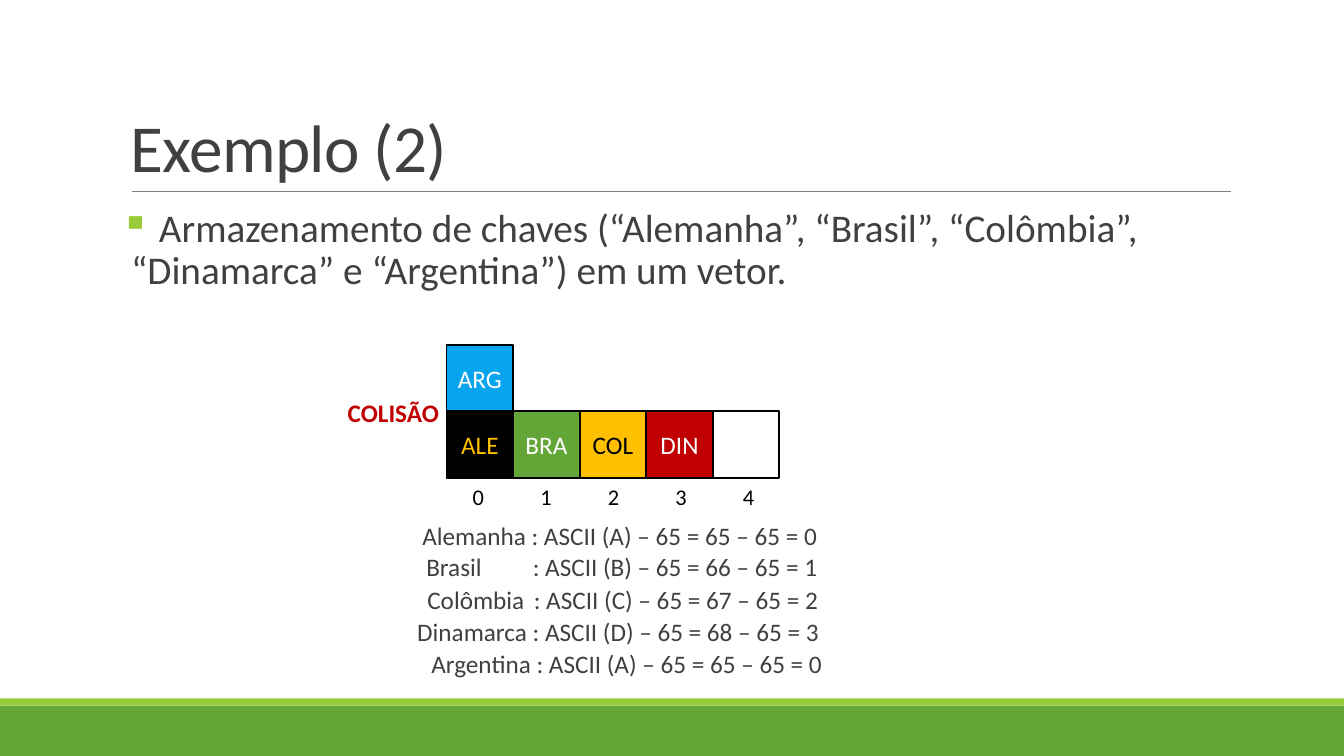
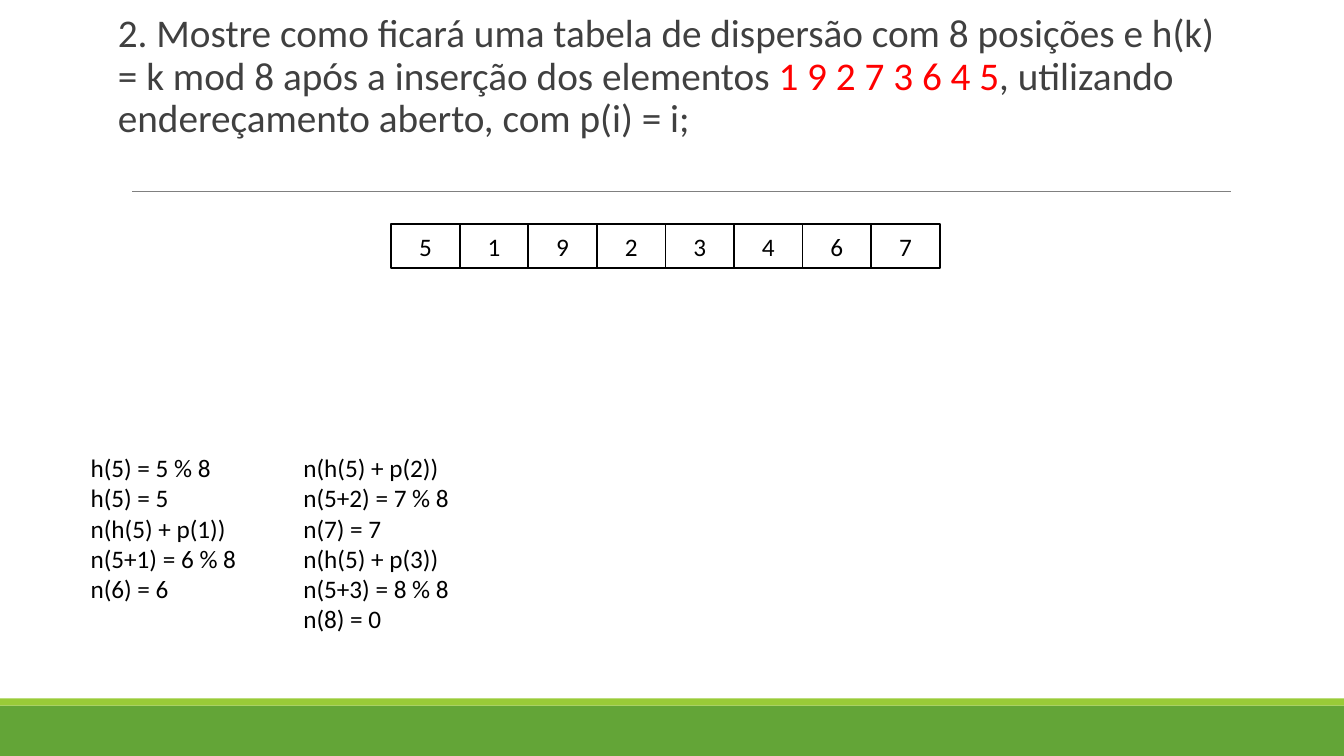
from dataclasses import dataclass

from lxml.etree import SubElement
from pptx import Presentation
from pptx.dml.color import RGBColor
from pptx.enum.shapes import MSO_CONNECTOR as Connector, MSO_SHAPE as Preset
from pptx.enum.text import MSO_ANCHOR as Anchor, MSO_AUTO_SIZE as AutoSize, PP_ALIGN as Align
from pptx.oxml.ns import qn
from pptx.util import Inches, Pt


@dataclass(frozen=True)
class Theme:
    font: str = "Calibri"
    title_size: int = 48
    body_size: int = 28
    text_size: int = 18
    index_size: int = 16
    text: RGBColor = RGBColor(0x40, 0x40, 0x40)
    black: RGBColor = RGBColor(0, 0, 0)
    white: RGBColor = RGBColor(0xFF, 0xFF, 0xFF)
    green: RGBColor = RGBColor(0x63, 0xA5, 0x37)
    lime: RGBColor = RGBColor(0x99, 0xCB, 0x38)
    rule: RGBColor = RGBColor(0x80, 0x80, 0x80)
    yellow: RGBColor = RGBColor(0xFF, 0xC0, 0x00)
    crimson: RGBColor = RGBColor(0xC0, 0x00, 0x00)
    blue: RGBColor = RGBColor(0x08, 0xA5, 0xEF)
    red: RGBColor = RGBColor(0xFF, 0x00, 0x00)


THEME = Theme()
BODY_FRAME = {"margin_left": 0, "margin_right": 0}


def set_values(target, values):
    for name, value in values.items():
        setattr(target, name, value)


def add_run(paragraph, text, size, color, bold=False):
    run = paragraph.add_run()
    run.text = text
    set_values(run.font, {"name": THEME.font, "size": Pt(size), "bold": bold})
    run.font.color.rgb = color
    return run


def add_text(slide, box, lines, size=THEME.text_size, color=THEME.text,
             bold=False, frame_format=None, line_spacing=1.0):
    shape = slide.shapes.add_textbox(*map(Inches, box))
    frame = shape.text_frame
    set_values(frame, {"word_wrap": True, "auto_size": AutoSize.NONE} | (frame_format or {}))
    for number, line in enumerate(lines):
        paragraph = frame.add_paragraph() if number else frame.paragraphs[0]
        paragraph.line_spacing = line_spacing
        runs = [(line, color)] if isinstance(line, str) else line
        for text, run_color in runs:
            add_run(paragraph, text, size, run_color, bold)
    return frame


def add_label(slide, left, top, width, height, text, **style):
    label_format = {"word_wrap": False, "auto_size": AutoSize.SHAPE_TO_FIT_TEXT}
    add_text(slide, (left, top, width, height), [text], frame_format=label_format, **style)


def add_body(slide, box, line):
    return add_text(slide, box, [line], size=THEME.body_size,
                    frame_format=BODY_FRAME, line_spacing=0.9)


def add_bullet(paragraph):
    properties = paragraph._p.get_or_add_pPr()
    properties.set("marL", str(Inches(0.1)))
    properties.set("indent", str(-Inches(0.1)))
    bullet_color = SubElement(properties, qn("a:buClr"))
    SubElement(bullet_color, qn("a:srgbClr")).set("val", str(THEME.lime))
    SubElement(properties, qn("a:buChar")).set("char", "▪")


def add_title(slide, text):
    frame = add_text(slide, (1.2, 0.31, 11, 1.59), [text], size=THEME.title_size,
                     frame_format={"vertical_anchor": Anchor.BOTTOM}, line_spacing=0.85)
    frame.paragraphs[0].runs[0].font._element.set("spc", "-50")


def add_rectangle(slide, box, fill=None):
    shape = slide.shapes.add_shape(Preset.RECTANGLE, *map(Inches, box))
    shape.shadow.inherit = False
    if fill is None:
        shape.fill.background()
    else:
        shape.fill.solid()
        shape.fill.fore_color.rgb = fill
    shape.line.fill.background()
    return shape


def add_cell(slide, box, text="", fill=None, color=THEME.black):
    shape = add_rectangle(slide, box, fill)
    shape.line.color.rgb = THEME.black
    shape.line.width = Pt(1.25)
    if text:
        shape.text_frame.vertical_anchor = Anchor.MIDDLE
        paragraph = shape.text_frame.paragraphs[0]
        paragraph.alignment = Align.CENTER
        add_run(paragraph, text, THEME.text_size, color)


def add_base_slide(presentation):
    slide = presentation.slides.add_slide(presentation.slide_layouts[6])
    add_rectangle(slide, (0, 7, 13.33, 0.5), THEME.green)
    add_rectangle(slide, (0, 6.93, 13.33, 0.07), THEME.lime)
    rule = slide.shapes.add_connector(
        Connector.STRAIGHT, *map(Inches, (1.31, 1.9, 12.21, 1.9)))
    rule.line.color.rgb = THEME.rule
    rule.line.width = Pt(0.5)
    SubElement(rule._element.spPr, qn("a:effectLst"))
    return slide


def add_collision_slide(presentation):
    slide = add_base_slide(presentation)
    add_title(slide, "Exemplo (2)")
    body = add_body(
        slide, (1.2, 2.02, 11, 4.4),
        " Armazenamento de chaves (“Alemanha”, “Brasil”, “Colômbia”, "
        "“Dinamarca” e “Argentina”) em um vetor.")
    add_bullet(body.paragraphs[0])

    left, top, side = 4.43, 4.08, 0.66
    cells = [
        ("ALE", THEME.black, THEME.yellow),
        ("BRA", THEME.green, THEME.white),
        ("COL", THEME.yellow, THEME.black),
        ("DIN", THEME.crimson, THEME.white),
        ("", THEME.white, THEME.black),
    ]
    for index, (text, fill, color) in enumerate(cells):
        add_cell(slide, (left + index * side, top, side, side), text, fill, color)
        add_label(slide, 4.59 + index * 0.67, top + side, 0.32, 0.37, str(index),
                  size=THEME.index_size, color=THEME.black)
    add_cell(slide, (left, top - side, side, side), "ARG", THEME.blue, THEME.white)
    add_label(slide, 3.35, 3.89, 1.11, 0.4, "COLISÃO", color=THEME.crimson, bold=True)

    calculations = [
        (4.09, 5.11, "Alemanha : ASCII (A) – 65 = 65 – 65 = 0"),
        (4.13, 5.42, "Brasil\t : ASCII (B) – 65 = 66 – 65 = 1"),
        (4.14, 5.75, "Colômbia\t : ASCII (C) – 65 = 67 – 65 = 2"),
        (4.04, 6.07, "Dinamarca : ASCII (D) – 65 = 68 – 65 = 3"),
        (4.18, 6.38, "Argentina : ASCII (A) – 65 = 65 – 65 = 0"),
    ]
    for row_left, row_top, text in calculations:
        add_text(slide, (row_left, row_top, 4.5, 0.4), [text])


def add_open_addressing_slide(presentation):
    slide = add_base_slide(presentation)
    add_body(slide, (1.17, 0.09, 11, 1.45), [
        ("2. Mostre como ficará uma tabela de dispersão com 8 posições e h(k) = "
         "k mod 8 após a inserção dos elementos ", THEME.text),
        ("1 9 2 7 3 6 4 5", THEME.red),
        (", utilizando endereçamento aberto, com p(i) = i;", THEME.text),
    ])
    width = 0.68
    for index, key in enumerate("51923467"):
        add_cell(slide, (3.88 + index * width, 2.22, width, 0.44), key)

    probes = [
        ["h(5) = 5 % 8", "h(5) = 5", "n(h(5) + p(1))", "n(5+1) = 6 % 8", "n(6) = 6"],
        ["n(h(5) + p(2))", "n(5+2) = 7 % 8", "n(7) = 7",
         "n(h(5) + p(3))", "n(5+3) = 8 % 8", "n(8) = 0"],
    ]
    for column, lines in enumerate(probes):
        add_text(slide, (0.8 + column * 2.11, 4.44, 2.11, 1.92), lines, color=THEME.black)


def main():
    presentation = Presentation()
    set_values(presentation, {"slide_width": Inches(13.33), "slide_height": Inches(7.5)})
    add_collision_slide(presentation)
    add_open_addressing_slide(presentation)
    presentation.save("out.pptx")


if __name__ == "__main__":
    main()
